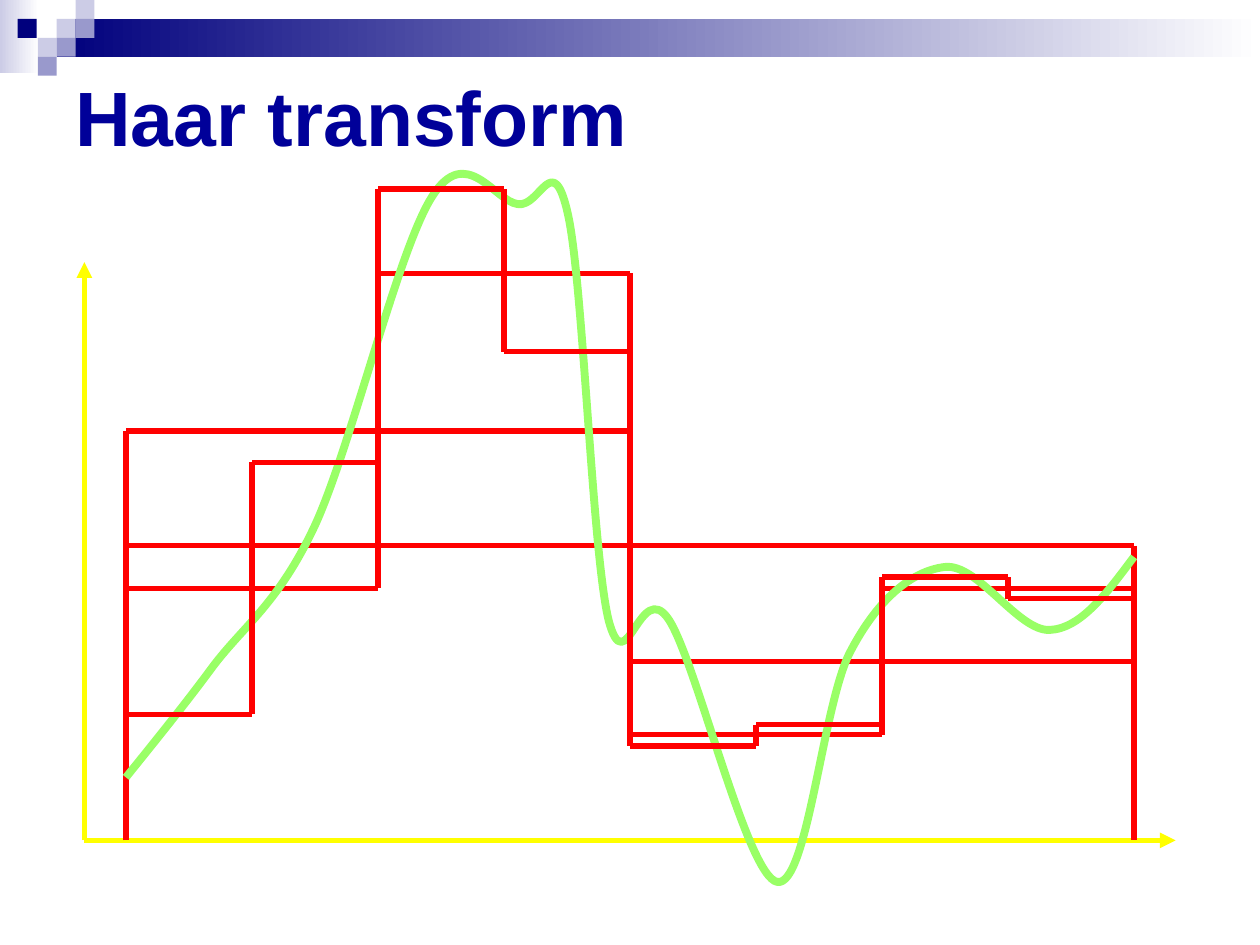
from itertools import pairwise
from lxml.etree import SubElement
from pptx import Presentation
from pptx.dml.color import RGBColor
from pptx.enum.shapes import MSO_CONNECTOR, MSO_SHAPE
from pptx.enum.text import MSO_ANCHOR
from pptx.oxml.ns import qn
from pptx.util import Cm, Pt

PALE, MID, NAVY = "CCCCE6", "9999CC", "00007D"
RED, YELLOW, GREEN = "FF0000", "FFFF00", "99FF66"

TILES = [
    (0.45, 0.15, PALE), (0.6, 0, PALE), (0.6, 0.15, MID), (0.3, 0.3, PALE),
    (0.14, 0.15, NAVY), (0.45, 0.3, MID), (0.3, 0.45, MID),
]

COARSE = [
    {1: [6.67, 4.33], 9: [4.33, 6.67]},
    {1: [4.33, 3.42], 5: [3.42, 4.33, 5.25], 9: [5.25, 4.33]},
    {1: [3.42, 4.67], 3: [4.67, 3.42, 2.17], 5: [2.17, 3.42, 5.83],
     7: [5.83, 5.25, 4.67], 9: [4.67, 5.25]},
]
FINE = {
    1: [4.67, 5.67], 2: [5.67, 4.67, 3.67], 3: [3.67, 1.5],
    4: [1.5, 2.14, 2.79], 5: [2.79, 5.67, 5.92], 6: [5.92, 5.83, 5.75],
    7: [5.75, 4.67, 4.58], 8: [4.58, 4.67, 4.75], 9: [4.75, 4.67],
}

SIGNAL = [
    (1, 6.17),
    (1.12, 6.02), (1.44, 5.63), (1.69, 5.29),
    (1.94, 4.96), (2.21, 4.79), (2.5, 4.17),
    (2.79, 3.54), (3.16, 1.98), (3.43, 1.56),
    (3.7, 1.13), (3.93, 1.6), (4.11, 1.62),
    (4.29, 1.65), (4.39, 1.16), (4.51, 1.71),
    (4.63, 2.26), (4.7, 4.38), (4.83, 4.92),
    (4.97, 5.45), (5.08, 4.57), (5.31, 4.92),
    (5.53, 5.26), (5.93, 6.96), (6.17, 7),
    (6.41, 7.04), (6.53, 5.58), (6.75, 5.17),
    (6.97, 4.75), (7.24, 4.53), (7.5, 4.5),
    (7.76, 4.47), (8.08, 5.01), (8.33, 5),
    (8.58, 4.99), (8.79, 4.7), (9, 4.42),
]


def inch(num):
    return Cm(num * 2.54)


def color(code):
    return RGBColor.from_string(code)


def add_rect(slide, left, top, width, height, tint, fade=False):
    box = slide.shapes.add_shape(
        MSO_SHAPE.RECTANGLE, *map(inch, (left, top, width, height)))
    box.shadow.inherit = False
    box.line.fill.background()
    if fade:
        box.fill.gradient()
        box.fill.gradient_angle = 0
        for stop, code in zip(box.fill.gradient_stops, (tint, "FFFFFF")):
            stop.color.rgb = color(code)
    else:
        box.fill.solid()
        box.fill.fore_color.rgb = color(tint)


def add_line(slide, start, end, tint, arrow=False):
    line = slide.shapes.add_connector(
        MSO_CONNECTOR.STRAIGHT, *map(inch, (*start, *end)))
    line.line.color.rgb = color(tint)
    line.line.width = Pt(3)
    if arrow:
        SubElement(line.line._get_or_add_ln(), qn("a:tailEnd"), type="triangle")
    SubElement(line._element.spPr, qn("a:effectLst"))


def add_steps(slide, level):
    points = [(x, y) for x, stops in level.items() for y in stops]
    for start, end in pairwise(points):
        add_line(slide, start, end, RED)


def add_curve(slide, points, tint):
    spots = [(inch(x), inch(y)) for x, y in points]
    form = slide.shapes.build_freeform(*spots[0])
    form.add_line_segments(spots[1:], close=False)
    curve = form.convert_to_shape()
    route = next(curve._element.iter(qn("a:path")))
    legs = route.findall(qn("a:lnTo"))
    for first in range(0, len(legs), 3):
        bend = SubElement(route, qn("a:cubicBezTo"))
        for leg in legs[first:first + 3]:
            bend.append(leg[0])
            route.remove(leg)
    curve.shadow.inherit = False
    curve.fill.background()
    curve.line.color.rgb = color(tint)
    curve.line.width = Pt(4.5)


def add_title(slide, text):
    box = slide.shapes.add_textbox(*map(inch, (0.5, 0.5, 9, 1.5)))
    frame = box.text_frame
    frame.word_wrap = True
    frame.vertical_anchor = MSO_ANCHOR.TOP
    frame.text = text
    font = frame.paragraphs[0].runs[0].font
    font.name = "Arial"
    font.size = Pt(44)
    font.bold = True
    font.color.rgb = color("000099")


def main():
    deck = Presentation()
    deck.slide_width, deck.slide_height = inch(10), inch(7.5)
    slide = deck.slides.add_slide(deck.slide_layouts[6])
    add_rect(slide, 0, 0, 0.31, 0.58, PALE, fade=True)
    add_rect(slide, 0.45, 0.15, 9.55, 0.3, NAVY, fade=True)
    for left, top, tint in TILES:
        add_rect(slide, left, top, 0.15, 0.15, tint)
    add_title(slide, "Haar transform")
    for end in ((9.33, 6.67), (0.67, 2.08)):
        add_line(slide, (0.67, 6.67), end, YELLOW, arrow=True)
    for level in COARSE:
        add_steps(slide, level)
    add_curve(slide, SIGNAL, GREEN)
    add_steps(slide, FINE)
    deck.save("out.pptx")


if __name__ == "__main__":
    main()
